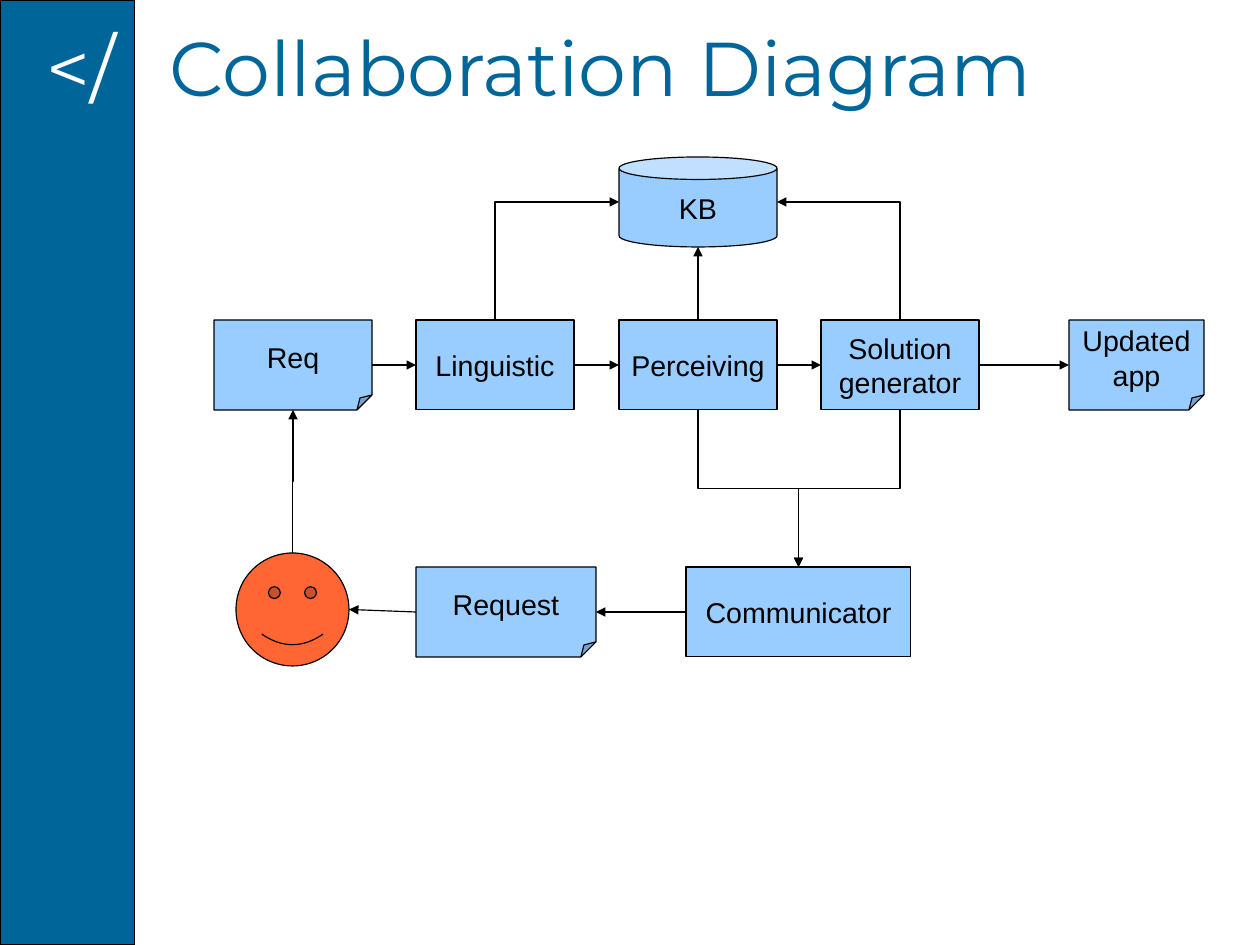
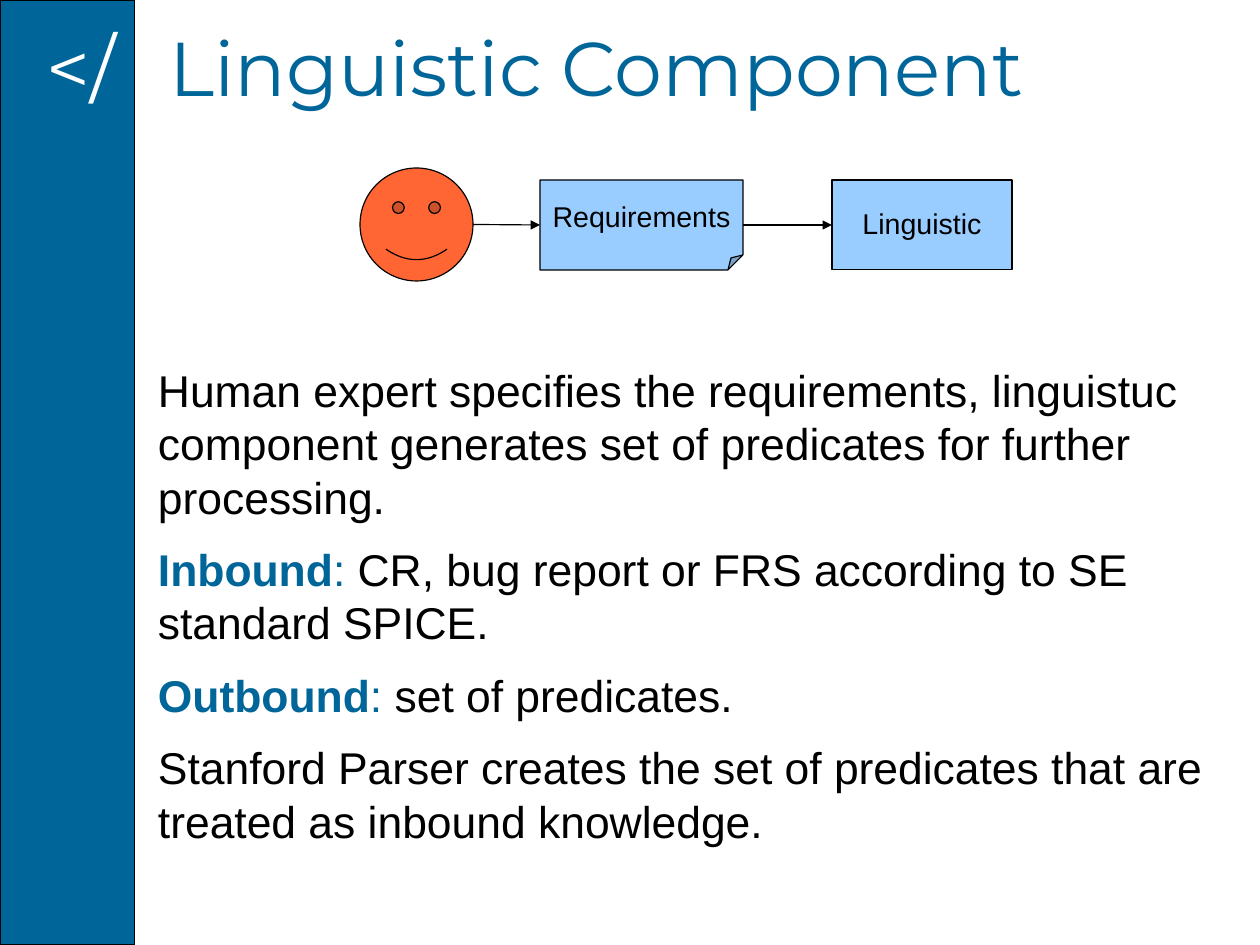
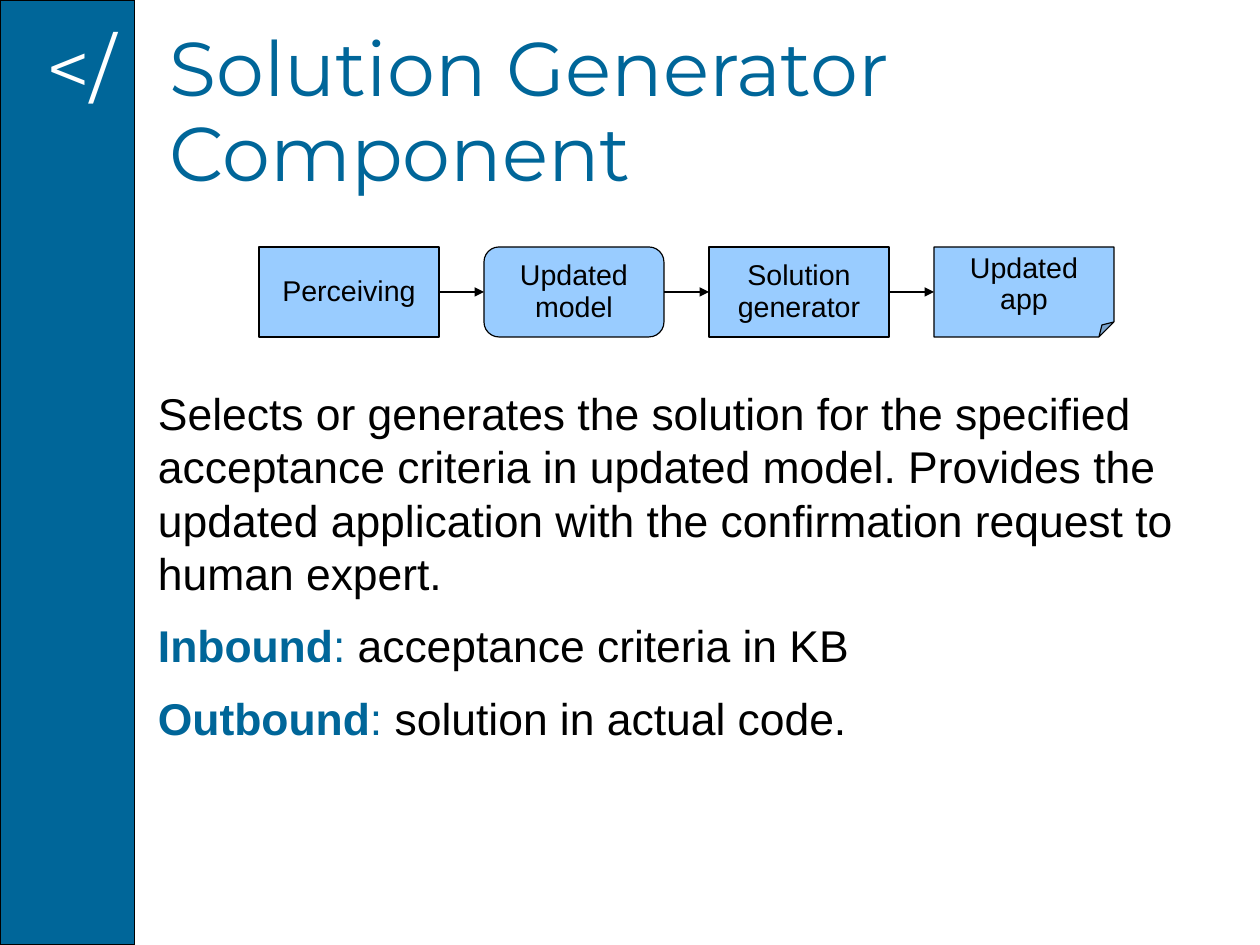
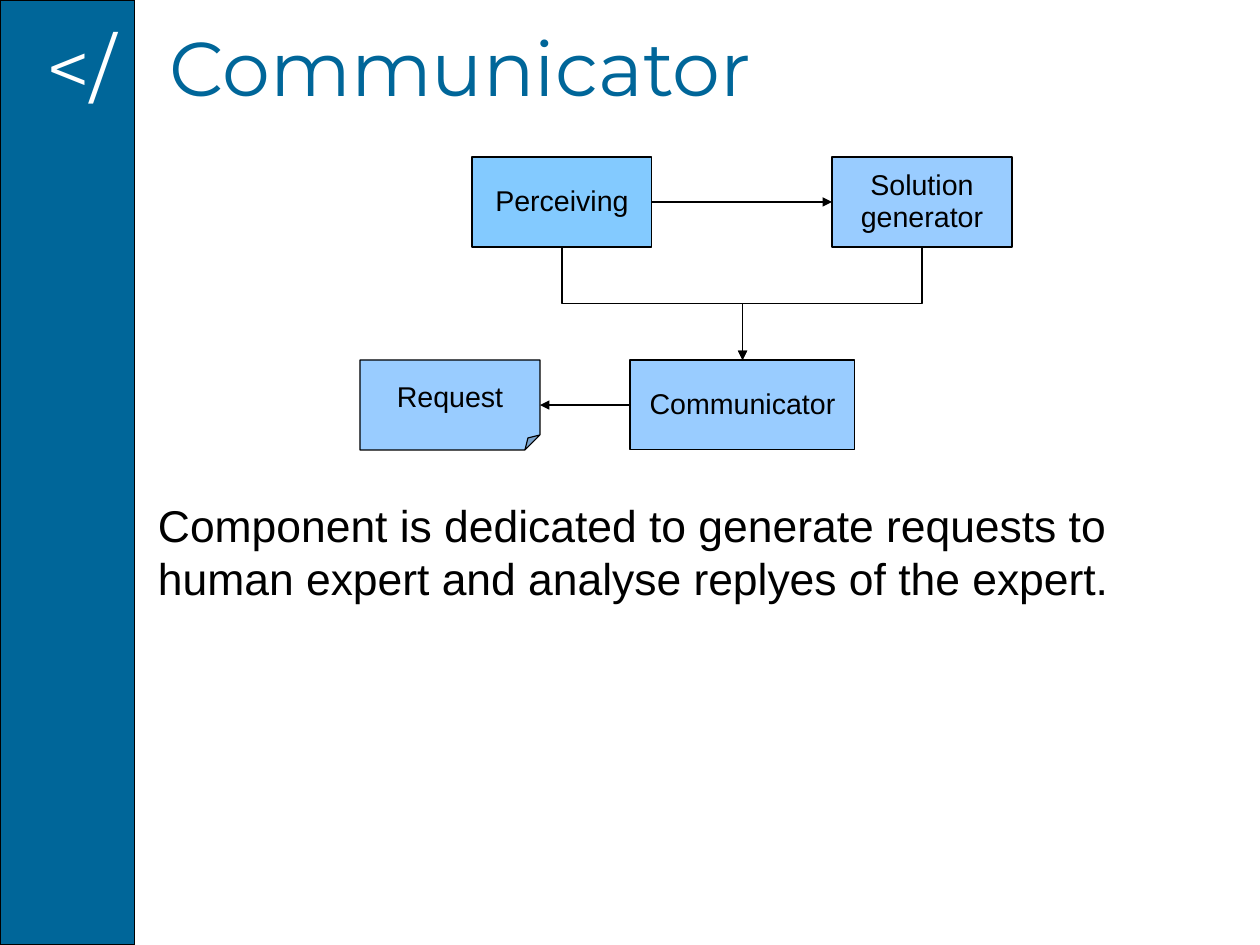
from lxml.etree import SubElement
from pptx import Presentation
from pptx.dml.color import RGBColor
from pptx.enum.shapes import MSO_CONNECTOR as Connector, MSO_SHAPE as Shape
from pptx.enum.text import MSO_ANCHOR as Anchor, MSO_AUTO_SIZE as AutoSize, PP_ALIGN as Align
from pptx.oxml.ns import qn
from pptx.util import Pt

PX = 8000  # EMU in one px
BLUE, SKY, PERCEIVING_SKY, ORANGE = "006699", "99CCFF", "83CAFF", "FF6633"
BLACK, WHITE = "000000", "FFFFFF"
TIGHT = 0.93
BOX_HEIGHT = 90
BOX, NOTE, ROUND, STORE, FACE = (
    Shape.RECTANGLE, Shape.FOLDED_CORNER, Shape.ROUNDED_RECTANGLE, Shape.CAN, Shape.SMILEY_FACE)

# Sides of a node: share of its width and height, and connection site numbers
SIDES = {"top": (0.5, 0), "left": (0, 0.5), "bottom": (0.5, 1), "right": (1, 0.5)}
SITES = {STORE: (1, 2, 3, 4), FACE: (0, 2, 4, 6)}

rgb = RGBColor.from_string


def add_block(slide, kind, x, y, w, h, fill):
    block = slide.shapes.add_shape(kind, x * PX, y * PX, w * PX, h * PX)
    block.shadow.inherit = False
    block.fill.solid()
    block.fill.fore_color.rgb = rgb(fill)
    block.line.color.rgb = rgb(BLACK)
    block.line.width = Pt(0.75)
    return block


def write(frame, text, font, size, color, align=Align.LEFT, spacing=1.0, anchor=Anchor.TOP):
    frame.text = text
    frame.auto_size = AutoSize.NONE
    frame.word_wrap = True
    frame.vertical_anchor = anchor
    for paragraph in frame.paragraphs:
        paragraph.alignment = align
        paragraph.line_spacing = spacing
        for run in paragraph.runs:
            run.font.name = font
            run.font.size = Pt(size)
            run.font.color.rgb = rgb(color)


# Content: nodes are (text, kind, x, y, width), links are (from, side, to, side)
SOLUTION = "Solution\ngenerator"
UPDATED_APP = "Updated\napp"
EXPERT = ""

slides = [
    {
        "title": "Collaboration Diagram",
        "spacing": 1.0,
        "nodes": [
            ("Req", NOTE, 214, 320, 158),
            ("Linguistic", BOX, 416, 320, 158),
            ("Perceiving", BOX, 619, 320, 158),
            (SOLUTION, BOX, 821, 320, 158),
            (UPDATED_APP, NOTE, 1069, 320, 135),
            ("KB", STORE, 619, 157, 158),
            ("Communicator", BOX, 686, 567, 225),
            ("Request", NOTE, 416, 567, 180),
            (EXPERT, FACE, 236, 553, 113),
        ],
        "links": [
            ("Req", "right", "Linguistic", "left"),
            ("Linguistic", "right", "Perceiving", "left"),
            ("Perceiving", "right", SOLUTION, "left"),
            (SOLUTION, "right", UPDATED_APP, "left"),
            ("Linguistic", "top", "KB", "left"),
            ("Perceiving", "top", "KB", "bottom"),
            (SOLUTION, "top", "KB", "right"),
            (SOLUTION, "bottom", "Communicator", "top"),
            ("Perceiving", "bottom", "Communicator", "top"),
            ("Communicator", "left", "Request", "right"),
            ("Request", "left", EXPERT, "right"),
            (EXPERT, "top", "Req", "bottom"),
        ],
    },
    {
        "title": "Linguistic Component",
        "spacing": TIGHT,
        "nodes": [
            (EXPERT, FACE, 360, 168, 113),
            ("Requirements", NOTE, 540, 180, 203),
            ("Linguistic", BOX, 832, 180, 180),
        ],
        "links": [
            (EXPERT, "right", "Requirements", "left"),
            ("Requirements", "right", "Linguistic", "left"),
        ],
        "body_top": 360,
        "body": [
            "Human expert specifies the requirements, linguistuc component generates "
            "set of predicates for further processing.",
            "Inbound: CR, bug report or FRS according to SE standard SPICE.",
            "Outbound: set of predicates.",
            "Stanford Parser creates the set of predicates that are treated as inbound knowledge.",
        ],
    },
    {
        "title": "Solution Generator\vComponent",
        "spacing": TIGHT,
        "nodes": [
            (text, kind, 259 + 225 * column, 247, 180)
            for column, (text, kind) in enumerate([
                ("Perceiving", BOX), ("Updated\nmodel", ROUND),
                (SOLUTION, BOX), (UPDATED_APP, NOTE)])
        ],
        "links": [
            ("Perceiving", "right", "Updated\nmodel", "left"),
            ("Updated\nmodel", "right", SOLUTION, "left"),
            (SOLUTION, "right", UPDATED_APP, "left"),
        ],
        "body_top": 383,
        "body": [
            "Selects or generates the solution for the specified acceptance criteria in "
            "updated model. Provides the updated application with the confirmation "
            "request to human expert.",
            "Inbound: acceptance criteria in KB",
            "Outbound: solution in actual code.",
        ],
    },
    {
        "title": "Communicator",
        "spacing": TIGHT,
        "fills": {"Perceiving": PERCEIVING_SKY},
        "nodes": [
            ("Perceiving", BOX, 472, 157, 180),
            (SOLUTION, BOX, 832, 157, 180),
            ("Communicator", BOX, 630, 360, 225),
            ("Request", NOTE, 360, 360, 180),
        ],
        "links": [
            ("Perceiving", "right", SOLUTION, "left"),
            (SOLUTION, "bottom", "Communicator", "top"),
            ("Perceiving", "bottom", "Communicator", "top"),
            ("Communicator", "left", "Request", "right"),
        ],
        "body_top": 495,
        "body": [
            "Component is dedicated to generate requests to human expert and analyse "
            "replyes of the expert.",
        ],
    },
]

deck = Presentation()
deck.slide_width, deck.slide_height = 1260 * PX, 945 * PX

for content in slides:
    slide = deck.slides.add_slide(deck.slide_layouts[5])

    # Side band with its mark, and the title
    add_block(slide, Shape.RECTANGLE, 0, 0, 135, 945, BLUE)
    mark = slide.shapes.add_textbox(35 * PX, 23 * PX, 110 * PX, 97 * PX)
    write(mark.text_frame, "</", "Montserrat", 48, WHITE, spacing=TIGHT)
    title = slide.shapes.title
    title.left, title.top, title.width, title.height = 158 * PX, 23 * PX, 1080 * PX, 97 * PX
    write(title.text_frame, content["title"], "Montserrat", 48, BLUE, spacing=TIGHT)

    # Diagram nodes
    nodes = {}
    for text, kind, x, y, width in content["nodes"]:
        height = width if kind == FACE else BOX_HEIGHT
        fill = ORANGE if kind == FACE else content.get("fills", {}).get(text, SKY)
        node = nodes[text] = add_block(slide, kind, x, y, width, height, fill)
        if text:
            write(node.text_frame, text, "Arial", 18, BLACK, Align.CENTER,
                  content["spacing"], Anchor.MIDDLE)
            node.text_frame.word_wrap = False

    # Arrows between the nodes
    for source, source_side, target, target_side in content["links"]:
        ends = []
        for name, side in ((source, source_side), (target, target_side)):
            node, (across, down) = nodes[name], SIDES[side]
            ends.append((int(node.left + node.width * across), int(node.top + node.height * down)))
        (x1, y1), (x2, y2) = ends
        dx, dy = x2 - x1, y2 - y1
        upright = source_side in ("top", "bottom")
        bent = upright and dx != 0
        if bent:
            # An elbow that starts upright is a level one, turned a quarter about its middle
            turn = 1 if dx * dy < 0 else -1
            run, rise = turn * dy, -turn * dx
            x1, y1 = (x1 + x2 - run) // 2, (y1 + y2 - rise) // 2
            x2, y2 = x1 + run, y1 + rise
        arrow = slide.shapes.add_connector(
            Connector.ELBOW if bent else Connector.STRAIGHT, x1, y1, x2, y2)
        arrow.line.color.rgb = rgb(BLACK)
        arrow.line.width = Pt(0.75)
        properties = arrow._element.spPr
        if bent:
            properties.find(qn("a:xfrm")).set("rot", "5400000" if turn > 0 else "16200000")
            if target_side in ("left", "right"):
                properties.find(qn("a:prstGeom")).set("prst", "bentConnector2")
        SubElement(properties.find(qn("a:ln")), qn("a:tailEnd"), type="triangle")
        SubElement(properties, qn("a:effectLst"))
        glue = arrow._element.find(".//" + qn("p:cNvCxnSpPr"))
        for tag, name, side in (("a:stCxn", source, source_side), ("a:endCxn", target, target_side)):
            sites = SITES.get(nodes[name].auto_shape_type, range(4))
            SubElement(glue, qn(tag), id=str(nodes[name].shape_id),
                       idx=str(sites[list(SIDES).index(side)]))

    # Description, with its labels picked out
    if "body" in content:
        top = content["body_top"]
        body = slide.shapes.add_textbox(158 * PX, top * PX, 1057 * PX, (900 - top) * PX)
        frame = body.text_frame
        write(frame, "\n".join(content["body"]), "Arial", 28, BLACK)
        frame.margin_left = frame.margin_right = frame.margin_bottom = 0
        frame.margin_top = 3 * PX
        for paragraph in frame.paragraphs:
            paragraph.space_after = Pt(12)
            label, colon, rest = paragraph.text.partition(": ")
            if colon:
                paragraph.text = label
                for part in (colon, rest):
                    paragraph.add_run().text = part
                for run, color in zip(paragraph.runs, (BLUE, BLUE, BLACK)):
                    run.font.name = "Arial"
                    run.font.size = Pt(28)
                    run.font.bold = run.text == label
                    run.font.color.rgb = rgb(color)

deck.save("out.pptx")
